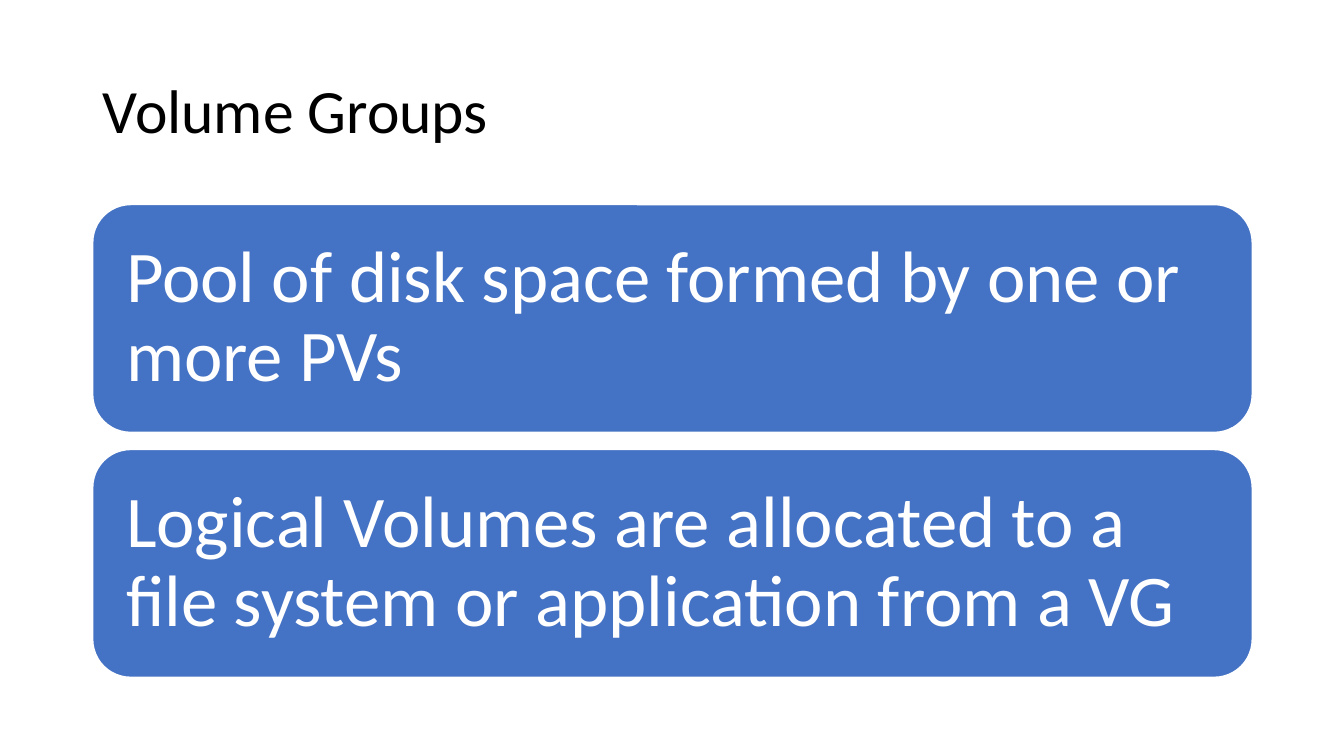
"""Build the Volume Groups slide with a title and two rounded statement cards."""
from dataclasses import dataclass

import pptx
import pptx.dml.color
import pptx.enum.shapes
import pptx.enum.text
import pptx.shapes.autoshape
import pptx.slide
import pptx.util

Inches = pptx.util.Inches
COLOURS = {"title": "000000", "card": "4472C4", "light": "FFFFFF"}
LEFT, WIDTH = 0.92, 11.5
CARD_TOP, CARD_HEIGHT, CARD_GAP = 2.03, 2.26, 0.17
MARGINS = ("margin_left", "margin_top", "margin_right", "margin_bottom")


@dataclass(frozen=True)
class Statement:
    wording: str
    size: int
    colour: str
    insets: tuple[float, float, float, float]


TITLE = Statement("Volume Groups", 44, "title", (0.1, 0.05, 0.1, 0.05))
CARDS = [
    Statement(wording, 52, "light", (0.22,) * 4)
    for wording in (
        "Pool of disk space formed by one or more PVs",
        "Logical Volumes are allocated to a file system or application from a VG",
    )
]


def colour(name: str) -> pptx.dml.color.RGBColor:
    return pptx.dml.color.RGBColor.from_string(COLOURS[name])


def apply_format(target: object, values: dict[str, object]) -> None:
    for attribute, value in values.items():
        setattr(target, attribute, value)


def write_statement(holder: pptx.shapes.autoshape.Shape, statement: Statement) -> None:
    frame = holder.text_frame
    insets = {side: Inches(inset) for side, inset in zip(MARGINS, statement.insets)}
    apply_format(frame, {
        "word_wrap": True,
        "vertical_anchor": pptx.enum.text.MSO_ANCHOR.MIDDLE,
        **insets,
    })
    paragraph = frame.paragraphs[0]
    apply_format(paragraph, {
        "text": statement.wording,
        "alignment": pptx.enum.text.PP_ALIGN.LEFT,
        "line_spacing": 0.9,
    })
    font = paragraph.runs[0].font
    apply_format(font, {"name": "Calibri", "size": pptx.util.Pt(statement.size)})
    font.color.rgb = colour(statement.colour)


def draw_title(slide: pptx.slide.Slide, title: Statement) -> None:
    heading = slide.shapes.add_textbox(
        Inches(LEFT), Inches(0.4), Inches(WIDTH), Inches(1.45)
    )
    write_statement(heading, title)


def draw_card(slide: pptx.slide.Slide, statement: Statement, top: float) -> None:
    card = slide.shapes.add_shape(
        pptx.enum.shapes.MSO_SHAPE.ROUNDED_RECTANGLE,
        Inches(LEFT), Inches(top), Inches(WIDTH), Inches(CARD_HEIGHT),
    )
    card.shadow.inherit = False
    card.fill.solid()
    card.fill.fore_color.rgb = colour("card")
    card.line.color.rgb = colour("light")
    card.line.width = pptx.util.Pt(1)
    write_statement(card, statement)


def main() -> None:
    deck = pptx.Presentation()
    apply_format(deck, {"slide_width": Inches(13.33), "slide_height": Inches(7.5)})
    slide = deck.slides.add_slide(deck.slide_layouts[6])
    draw_title(slide, TITLE)
    for row, statement in enumerate(CARDS):
        draw_card(slide, statement, CARD_TOP + row * (CARD_HEIGHT + CARD_GAP))
    deck.save("out.pptx")


if __name__ == "__main__":
    main()
